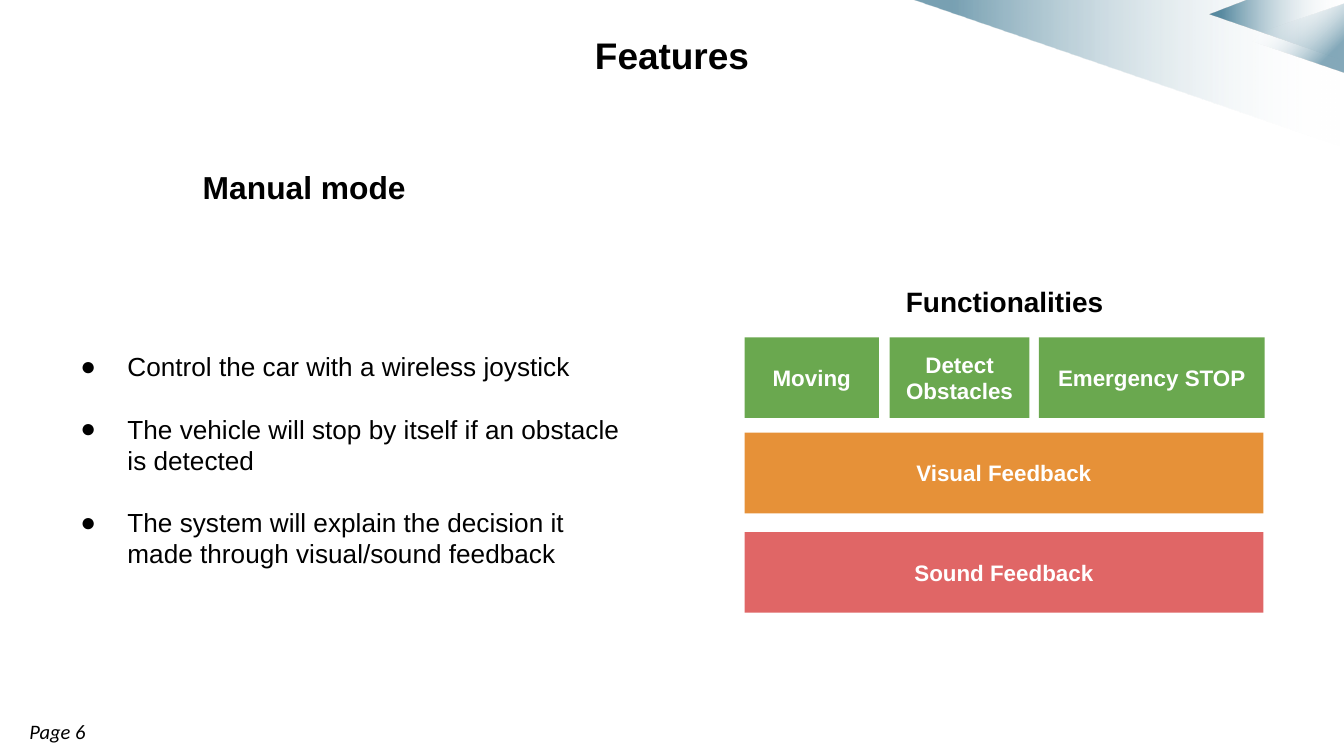
from pptx import Presentation
from pptx.dml.color import RGBColor
from pptx.enum.shapes import MSO_SHAPE as Shape
from pptx.enum.text import MSO_ANCHOR as Anchor, PP_ALIGN as Align
from pptx.oxml import parse_xml
from pptx.oxml.ns import nsdecls
from pptx.util import Inches, Pt


def color(value):
    return RGBColor.from_string(value)


def write(shape, texts, anchor=Anchor.TOP, inset=0.1, align=Align.LEFT,
          line=1.0, gap=0, bullet=None, ink="000000", **font):
    frame = shape.text_frame
    frame.word_wrap = True
    frame.vertical_anchor = anchor
    frame.margin_left = frame.margin_right = Inches(0.1)
    frame.margin_top = frame.margin_bottom = Inches(inset)
    for index, text in enumerate(texts):
        para = frame.paragraphs[0] if index == 0 else frame.add_paragraph()
        if bullet:
            props = para._p.get_or_add_pPr()
            props.set("marL", str(Inches(0.5)))
            props.set("indent", str(Inches(-0.35)))
            for element in ('buSzPts val="1400"', 'buFont typeface="Arial"',
                            f'buChar char="{bullet}"'):
                props.append(parse_xml(f'<a:{element} {nsdecls("a")}/>'))
        para.alignment = align
        para.line_spacing = line
        para.space_before = Pt(gap if index else 0)
        span = para.add_run()
        span.text = text
        for name, value in {"name": "Arial", **font}.items():
            setattr(span.font, name, value)
        span.font.color.rgb = color(ink)
        if bullet:
            para.font.size = font["size"]


deck = Presentation()
deck.slide_width, deck.slide_height = Inches(10), Inches(5.625)
page = deck.slides.add_slide(deck.slide_layouts[5])
shapes = page.shapes

outlines = [
    [(6.79, 0), (10, 0), (10, 1.1)],
    [(9, 0.11), (9.29, 0), (10, 0), (10, 0.45)],
]
decorations = []
for start, *others in outlines:
    builder = shapes.build_freeform(*map(Inches, start), scale=1.0)
    builder.add_line_segments([tuple(map(Inches, point)) for point in others])
    decorations.append(builder.convert_to_shape())
triangle = shapes.add_shape(Shape.ISOSCELES_TRIANGLE, Inches(9.37), Inches(-0.09),
                            Inches(0.51), Inches(0.75))
triangle.rotation = 270
decorations.append(triangle)

gradients = [(1, 91, 53, 180), (1, 91, 63, 180), (27, 81, 48, 135)]
for shape, (clear, solid, alpha, angle) in zip(decorations, gradients):
    shape.shadow.inherit = False
    shape.line.fill.background()
    shape.fill.background()
    stops = "".join(
        f'<a:gs pos="{position * 1000}"><a:srgbClr val="{value}">'
        f'<a:alpha val="{opacity * 1000}"/></a:srgbClr></a:gs>'
        for position, value, opacity in [
            (0, "FFFFFF", 0), (clear, "FFFFFF", 0),
            (solid, "004D6F", alpha), (100, "004D6F", alpha)])
    gradient = parse_xml(
        f'<a:gradFill {nsdecls("a")} rotWithShape="1"><a:gsLst>{stops}</a:gsLst>'
        f'<a:lin ang="{angle * 60000}" scaled="0"/></a:gradFill>')
    properties = shape._element.spPr
    properties.replace(properties.find("{*}noFill"), gradient)

title = shapes.title
title.left, title.top = Inches(2.48), Inches(0.14)
title.width, title.height = Inches(5.04), Inches(0.35)
write(title, ["Features"], inset=0.05, align=Align.CENTER, line=1.15,
      size=Pt(19.8), bold=True)

text_boxes = [
    ((0.12, 5.3, 2.68, 0.29), ["Page 6"],
     dict(inset=0.05, name="Calibri", size=Pt(11), italic=True)),
    ((1.41, 1.07, 7.99, 0.5), ["Manual mode"],
     dict(inset=0.05, anchor=Anchor.MIDDLE, line=1.5, size=Pt(17), bold=True)),
    ((0.35, 2.51, 4.45, 2.62),
     ["Control the car with a wireless joystick",
      "The vehicle will stop by itself if an obstacle is detected",
      "The system will explain the decision it made through visual/sound feedback"],
     dict(bullet="●", gap=16.5, size=Pt(14))),
    ((5.82, 2.02, 3.31, 0.35), ["Functionalities"],
     dict(align=Align.CENTER, size=Pt(15), bold=True)),
]
for place, texts, style in text_boxes:
    write(shapes.add_textbox(*map(Inches, place)), texts, **style)

blocks = [
    ("Moving", 5.54, 2.51, 1, "6AA84F"),
    ("Detect Obstacles", 6.62, 2.51, 1.04, "6AA84F"),
    ("Emergency STOP", 7.73, 2.51, 1.68, "6AA84F"),
    ("Visual Feedback", 5.54, 3.22, 3.86, "E69138"),
    ("Sound Feedback", 5.54, 3.96, 3.86, "E06666"),
]
for label, left, top, width, fill in blocks:
    block = shapes.add_shape(Shape.RECTANGLE, Inches(left), Inches(top),
                             Inches(width), Inches(0.6))
    block.shadow.inherit = False
    block.fill.solid()
    block.fill.fore_color.rgb = color(fill)
    block.line.fill.background()
    write(block, [label], anchor=Anchor.MIDDLE, align=Align.CENTER,
          ink="FFFFFF", size=Pt(12), bold=True)

deck.save("out.pptx")
